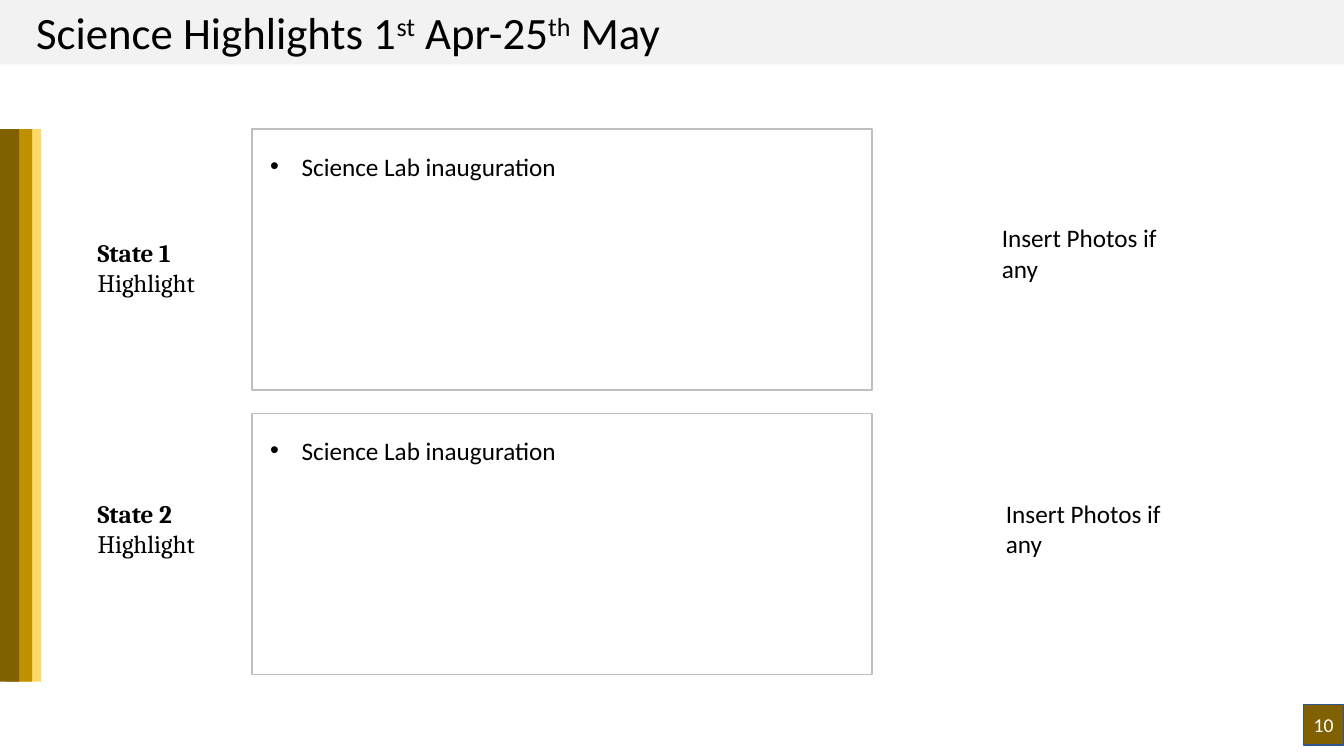
from lxml.etree import SubElement
from pptx import Presentation
from pptx.dml.color import RGBColor
from pptx.enum.shapes import MSO_SHAPE
from pptx.enum.text import MSO_ANCHOR, PP_ALIGN
from pptx.oxml.ns import qn
from pptx.util import Pt

BLACK = RGBColor(0x00, 0x00, 0x00)
WHITE = RGBColor(0xFF, 0xFF, 0xFF)
HEADER_GRAY = RGBColor(0xF2, 0xF2, 0xF2)
FRAME_GRAY = RGBColor(0xBF, 0xBF, 0xBF)
DARK_GOLD = RGBColor(0x80, 0x60, 0x00)
GOLD = RGBColor(0xBF, 0x90, 0x00)
LIGHT_GOLD = RGBColor(0xFF, 0xD9, 0x66)
BADGE_BLUE = RGBColor(0x32, 0x54, 0x91)


def add_rectangle(page, left, top, width, height, fill=None, line=None):
    box = page.shapes.add_shape(
        MSO_SHAPE.RECTANGLE, Pt(left), Pt(top), Pt(width), Pt(height))
    box.shadow.inherit = False
    if fill is None:
        box.fill.background()
    else:
        box.fill.solid()
        box.fill.fore_color.rgb = fill
    if line is None:
        box.line.fill.background()
    else:
        box.line.color.rgb = line
        box.line.width = Pt(1)
    return box


def style(para, size, name="Calibri", color=BLACK, bold=False):
    para.font.size = Pt(size)
    para.font.name = name
    para.font.color.rgb = color
    para.font.bold = bold


def add_text(page, left, top, width, height, lines, size=18, name="Calibri"):
    box = page.shapes.add_textbox(Pt(left), Pt(top), Pt(width), Pt(height))
    frame = box.text_frame
    frame.word_wrap = True
    frame.text = "\n".join(lines)
    for para in frame.paragraphs:
        style(para, size, name)
    return frame


def add_bullet(para, indent):
    properties = para._p.get_or_add_pPr()
    properties.set("marL", str(Pt(indent)))
    properties.set("indent", str(-Pt(indent)))
    SubElement(properties, qn("a:buFont"), typeface="Arial")
    SubElement(properties, qn("a:buChar"), char="•")


def add_header(page, left, top, width, height):
    add_rectangle(page, left, top, width, height, fill=HEADER_GRAY)
    frame = add_text(page, left + 31.7, top, 512.6, height, [""], size=32)
    para = frame.paragraphs[0]
    for text, raised in [("Science Highlights 1", False), ("st", True),
                         (" Apr-25", False), ("th", True), (" May", False)]:
        span = para.add_run()
        span.text = text
        if raised:
            span.font._element.set("baseline", "30000")


def add_side_bars(page, left, top, width, height):
    # The widest-reaching bar lies at the back
    for offset, color in [(15.8, LIGHT_GOLD), (9.3, GOLD), (0, DARK_GOLD)]:
        add_rectangle(page, left + offset, top, width, height, fill=color)


def add_highlight(page, left, top, width, height, state, label_top, photo_left, photo_top):
    # State label
    label = add_text(page, left - 117.4, top + label_top, 159.8, 51,
                     [state, "Highlight"], name="Cambria")
    label.paragraphs[0].font.bold = True
    # Framed list
    add_rectangle(page, left, top, width, height, line=FRAME_GRAY)
    points = add_text(page, left + 5.8, top + 12, 428.4, 29,
                      ["Science Lab inauguration"])
    add_bullet(points.paragraphs[0], 22.5)
    # Photo note
    add_text(page, left + photo_left, top + photo_top, 145.4, 51,
             ["Insert Photos if any"])


def add_page_number(page, left, top, side, number):
    box = add_rectangle(page, left, top, side, side, DARK_GOLD, BADGE_BLUE)
    frame = box.text_frame
    frame.margin_left = frame.margin_right = Pt(0)
    frame.vertical_anchor = MSO_ANCHOR.MIDDLE
    frame.text = number
    para = frame.paragraphs[0]
    para.alignment = PP_ALIGN.CENTER
    style(para, 14, color=WHITE)


def main():
    deck = Presentation()
    deck.slide_width, deck.slide_height = Pt(960), Pt(540)
    page = deck.slides.add_slide(deck.slide_layouts[6])
    add_header(page, -13, 0, 986.4, 46)
    add_highlight(page, 180, 92.2, 442.8, 186.5, "State 1", 73.4, 528.5, 63.3)
    add_highlight(page, 180, 295.2, 442.8, 186.5, "State 2", 56.9, 531.4, 56.9)
    add_side_bars(page, -5, 92.2, 18.7, 394.6)
    add_page_number(page, 931, 503.3, 28.8, "10")
    deck.save("out.pptx")


if __name__ == "__main__":
    main()
